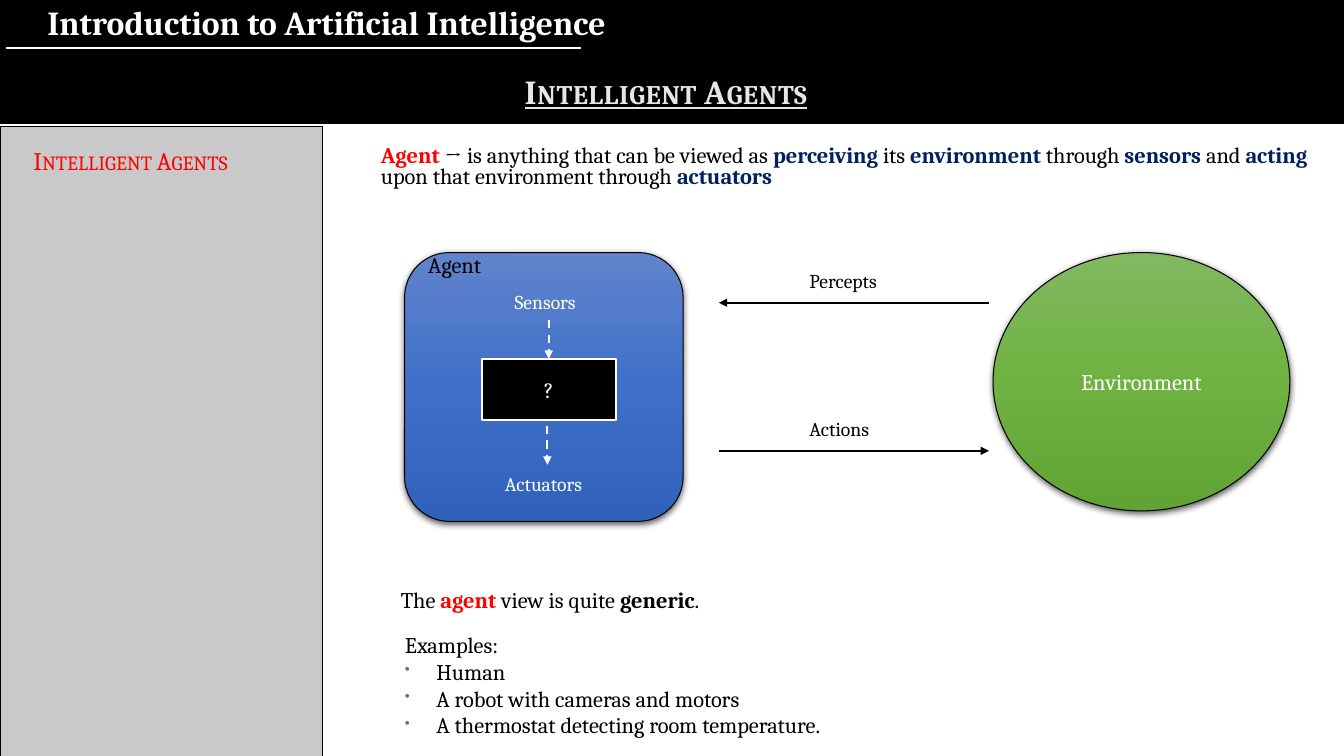
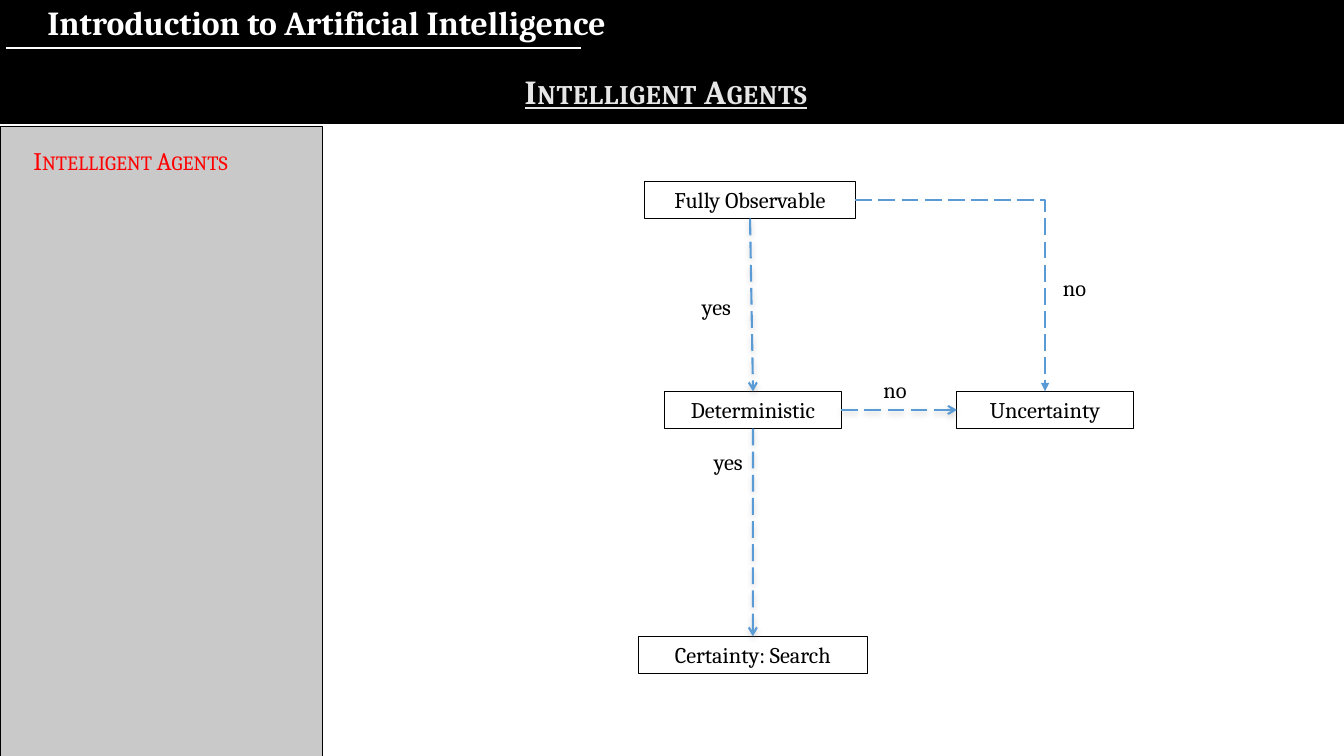
from dataclasses import dataclass
from lxml.etree import SubElement
from pptx import Presentation
from pptx.dml.color import RGBColor
from pptx.enum.dml import MSO_LINE
from pptx.enum.shapes import MSO_CONNECTOR, MSO_SHAPE
from pptx.enum.text import MSO_ANCHOR, PP_ALIGN
from pptx.oxml.ns import qn
from pptx.util import Pt

RECT, ROUND, OVAL = MSO_SHAPE.RECTANGLE, MSO_SHAPE.ROUNDED_RECTANGLE, MSO_SHAPE.OVAL
STRAIGHT, ELBOW = MSO_CONNECTOR.STRAIGHT, MSO_CONNECTOR.ELBOW
DASH, LONG_DASH = MSO_LINE.DASH, MSO_LINE.LONG_DASH
LEFT, CENTER = PP_ALIGN.LEFT, PP_ALIGN.CENTER
TOP, MIDDLE = MSO_ANCHOR.TOP, MSO_ANCHOR.MIDDLE
SITE_TOP, SITE_LEFT, SITE_BOTTOM, SITE_RIGHT = range(4)


@dataclass(frozen=True)
class Theme:
    font: str = "Cambria"
    title: int = 24
    topic: int = 18
    body: int = 16
    label: int = 14
    black: str = "000000"
    white: str = "FFFFFF"
    pale: str = "E7E6E6"
    sidebar: str = "C9C9C9"
    red: str = "FF0000"
    navy: str = "002060"
    flow: str = "5B9BD5"
    bullet: str = "666699"
    blues: tuple = ("6183CB", "3E70CA", "3062BB")
    greens: tuple = ("81B861", "6FB242", "62A336")
    # Shadows: colour, opacity %, blur, distance
    deep: tuple = ("000000", 63, 4.5, 1.5)
    soft: tuple = ("808080", 35, 4, 2)


T = Theme()

# Content: runs are (text, colour, bold)
COURSE = "Introduction to Artificial Intelligence"
TOPIC = "Intelligent Agents"
DEFINITION = [
    ("Agent ", T.red, True),
    ("→ is anything that can be viewed as ", T.black, False),
    ("perceiving", T.navy, True),
    (" its ", T.black, False),
    ("environment", T.navy, True),
    (" through ", T.black, False),
    ("sensors", T.navy, True),
    (" and ", T.black, False),
    ("acting", T.navy, True),
    (" upon that environment through ", T.black, False),
    ("actuators", T.navy, True),
]
GENERIC = [
    ("The ", T.black, False),
    ("agent", T.red, True),
    (" view is quite ", T.black, False),
    ("generic", T.black, True),
    (".", T.black, False),
]
EXAMPLES = ["Human", "A robot with cameras and motors",
            "A thermostat detecting room temperature."]
# Labels: text, (left, top, width), size, colour
AGENT_LABELS = [
    ("Agent", (298.8, 175.9, 57), T.body, T.black),
    ("Percepts", (571, 188.8, 68.5), T.label, T.black),
    ("Actions", (571, 294.6, 61.5), T.label, T.black),
    ("Sensors", (360.5, 203.7, 63.5), T.label, T.white),
    ("Actuators", (353.5, 333.9, 75), T.label, T.white),
]
# Arrows: start, end, colour, dash
AGENT_ARROWS = [
    ((706.5, 216.3), (513.5, 216.3), T.black, None),
    ((513.5, 322), (706.5, 322), T.black, None),
    ((392, 228.5), (392, 256.3), T.white, DASH),
    ((391, 304), (391, 332), T.white, DASH),
]
# Decisions: text, left, top, width
DECISIONS = [
    ("Fully Observable", 460.5, 129.5, 150.5),
    ("Deterministic", 474.9, 279.5, 126),
    ("Certainty: Search", 456, 454.5, 163.5),
    ("Uncertainty", 683.5, 279.5, 126),
]
# Branches: from, site, to, site, connector, arrowhead
BRANCHES = [
    ("Fully Observable", SITE_BOTTOM, "Deterministic", SITE_TOP, STRAIGHT, "arrow"),
    ("Deterministic", SITE_BOTTOM, "Certainty: Search", SITE_TOP, STRAIGHT, "arrow"),
    ("Deterministic", SITE_RIGHT, "Uncertainty", SITE_LEFT, STRAIGHT, "arrow"),
    ("Fully Observable", SITE_RIGHT, "Uncertainty", SITE_TOP, ELBOW, "triangle"),
]
ANSWERS = [
    ("no", (746.6, 192.5, 42)),
    ("yes", (478.5, 206, 66.5)),
    ("yes", (487, 316.7, 66.5)),
    ("no", (618.3, 265.3, 42)),
]
ROW = 26.6


def rgb(color):
    return RGBColor.from_string(color)


def write(tf, text, size=T.body, color=T.black, bold=False, align=LEFT,
          underline=False, small_caps=False, tracking=0):
    """Fill the first paragraph, or add one, and return it."""
    p = tf.paragraphs[0]
    if p.runs:
        p = tf.add_paragraph()
    p.alignment = align
    runs = [(text, color, bold)] if isinstance(text, str) else text
    for words, tint, strong in runs:
        r = p.add_run()
        r.text = words
        f = r.font
        f.name, f.size, f.bold, f.underline = T.font, Pt(size), strong, underline
        f.color.rgb = rgb(tint)
        props = r._r.get_or_add_rPr()
        if small_caps:
            props.set("cap", "small")
        if tracking:
            props.set("spc", str(int(tracking * 100)))
    return p


def text_box(s, box):
    tf = s.shapes.add_textbox(*map(Pt, box)).text_frame
    tf.word_wrap = True
    return tf


def set_effects(sp, shadow=None):
    effects = SubElement(sp.element.spPr, qn("a:effectLst"))
    if shadow:
        color, opacity, blur, distance = shadow
        outer = SubElement(effects, qn("a:outerShdw"), blurRad=str(Pt(blur)),
                           dist=str(Pt(distance)), dir="5400000", rotWithShape="0")
        tint = SubElement(outer, qn("a:srgbClr"), val=color)
        SubElement(tint, qn("a:alpha"), val=str(opacity * 1000))


def add_shape(s, kind, box, fill=None, line=T.black, width=0.75, shadow=None,
              anchor=MIDDLE):
    sp = s.shapes.add_shape(kind, *map(Pt, box))
    if fill is None:
        sp.fill.background()
    elif isinstance(fill, str):
        sp.fill.solid()
        sp.fill.fore_color.rgb = rgb(fill)
    else:
        sp.fill.gradient()
        sp.fill.gradient_angle = 270
        stops = sp.element.spPr.find(".//" + qn("a:gsLst"))
        for stop in list(stops):
            stops.remove(stop)
        for i, color in enumerate(fill):
            stop = SubElement(stops, qn("a:gs"), pos=str(i * 100000 // (len(fill) - 1)))
            SubElement(stop, qn("a:srgbClr"), val=color)
    sp.line.color.rgb = rgb(line)
    sp.line.width = Pt(width)
    set_effects(sp, shadow)
    sp.text_frame.word_wrap = True
    sp.text_frame.vertical_anchor = anchor
    return sp


def add_line(s, start, end, color, dash=None, head=None, kind=STRAIGHT, shadow=None):
    cxn = s.shapes.add_connector(kind, *map(Pt, start + end))
    cxn.line.color.rgb = rgb(color)
    cxn.line.width = Pt(1.5)
    if dash:
        cxn.line.dash_style = dash
    spPr = cxn.element.spPr
    if head:
        SubElement(spPr.find(qn("a:ln")), qn("a:tailEnd"), type=head)
    if kind == ELBOW:
        spPr.find(qn("a:prstGeom")).set("prst", "bentConnector2")
    set_effects(cxn, shadow)
    return cxn


def set_bullet(p, left, hanging=0):
    pPr = p._p.get_or_add_pPr()
    pPr.set("marL", str(Pt(left)))
    pPr.set("indent", str(-Pt(hanging)))
    if hanging:
        SubElement(SubElement(pPr, qn("a:buClr")), qn("a:srgbClr"), val=T.bullet)
        SubElement(pPr, qn("a:buSzPct"), val="65000")
        SubElement(pPr, qn("a:buChar"), char="•")


def new_slide(prs):
    """Add a slide with the shared header band and sidebar."""
    s = prs.slides.add_slide(prs.slide_layouts[6])
    add_shape(s, RECT, (0, 0, 961, 88), T.black, width=1)
    write(text_box(s, (0.7, 46.8, 959, 36)), TOPIC, size=T.title, color=T.pale,
          bold=True, align=CENTER, underline=True, small_caps=True, tracking=0.5)
    add_line(s, (4.3, 34.2), (414.7, 34.2), T.white)
    add_shape(s, RECT, (0, 90.5, 230.5, 451), T.sidebar, width=1)
    write(text_box(s, (-5.8, -2.2, 478, 36)), COURSE, size=T.title,
          color=T.white, bold=True, align=CENTER)
    write(text_box(s, (16.8, 100.2, 179.5, 29)), TOPIC, size=T.topic,
          color=T.red, small_caps=True)
    return s


prs = Presentation()
prs.slide_width, prs.slide_height = Pt(960), Pt(540)

# Slide 1: agent and environment
s = new_slide(prs)
p = write(text_box(s, (265, 100.8, 696, 360)), DEFINITION)
p.line_spacing, p.space_before = 0.8, Pt(10)

add_shape(s, ROUND, (289, 180.4, 199, 192), T.blues, shadow=T.deep)
environment = add_shape(s, OVAL, (709.3, 180.4, 212, 184.5), T.greens, shadow=T.deep)
write(environment.text_frame, "Environment", color=T.white, align=CENTER)
unknown = add_shape(s, RECT, (344, 256.3, 96, 44), T.black, line=T.white, width=1.5)
write(unknown.text_frame, "?", color=T.white, align=CENTER)
for start, end, color, dash in AGENT_ARROWS:
    add_line(s, start, end, color, dash, head="triangle")
for text, place, size, color in AGENT_LABELS:
    write(text_box(s, place + (ROW,)), text, size=size, color=color)

tf = text_box(s, (246.2, 447.1, 484, 85))
set_bullet(write(tf, "Examples:"), 36)
for example in EXAMPLES:
    set_bullet(write(tf, example), 58.5, 22.5)
write(text_box(s, (279.2, 415.4, 681, ROW)), GENERIC)

# Slide 2: decision flow
s = new_slide(prs)
boxes = {}
for text, left, top, width in DECISIONS:
    boxes[text] = add_shape(s, RECT, (left, top, width, ROW), anchor=TOP)
    write(boxes[text].text_frame, text, align=CENTER)
for source, exit_site, target, entry_site, kind, head in BRANCHES:
    shadow = T.soft if kind == STRAIGHT else None
    cxn = add_line(s, (0, 0), (0, 0), T.flow, LONG_DASH, head, kind, shadow)
    cxn.begin_connect(boxes[source], exit_site)
    cxn.end_connect(boxes[target], entry_site)
for text, place in ANSWERS:
    write(text_box(s, place + (ROW,)), text, align=CENTER)

prs.save("out.pptx")
